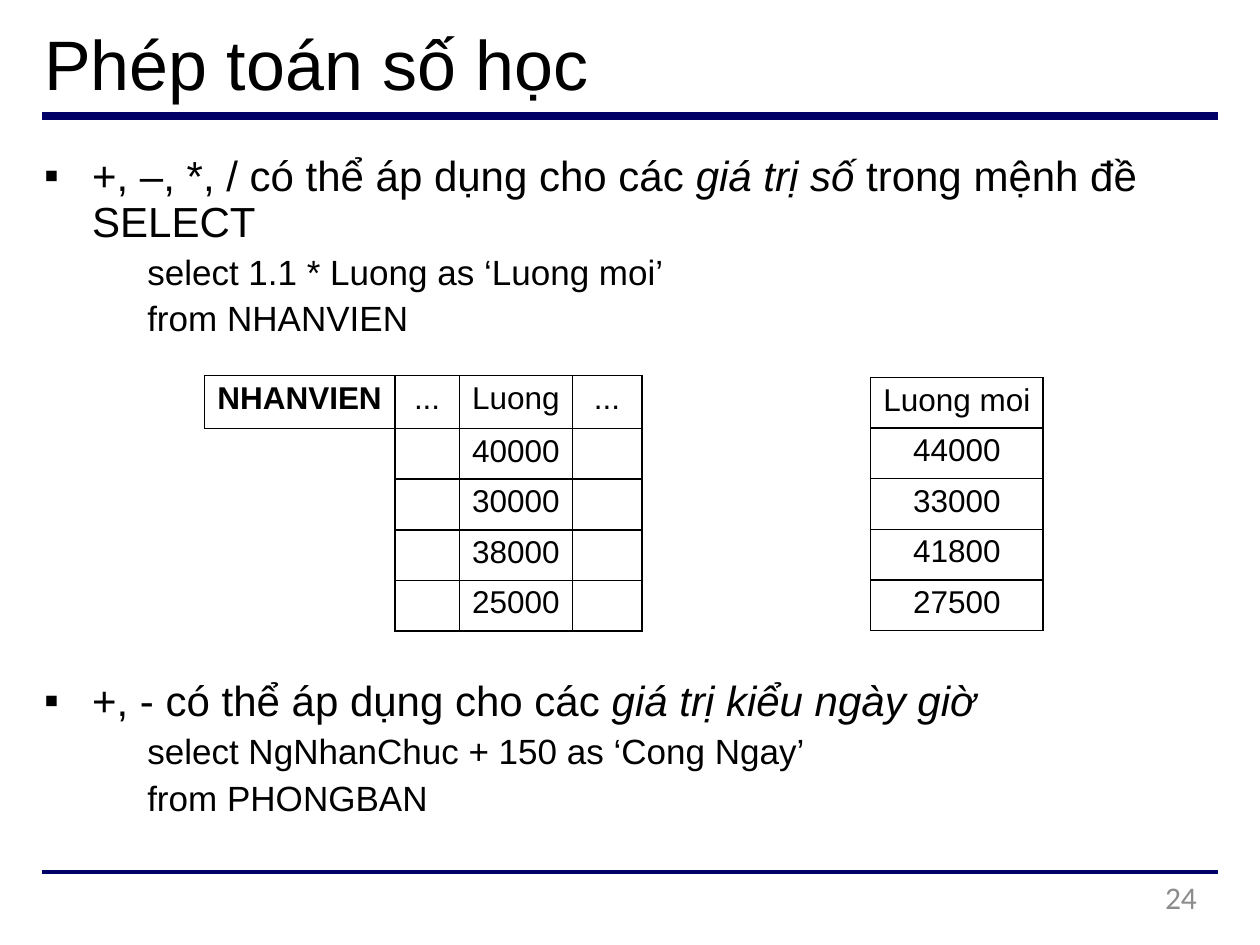
from lxml import etree
from pptx import Presentation
from pptx.dml.color import RGBColor
from pptx.enum.shapes import MSO_CONNECTOR
from pptx.enum.text import PP_ALIGN
from pptx.oxml.ns import qn
from pptx.util import Cm, Pt

STRAIGHT = MSO_CONNECTOR.STRAIGHT
LEFT, CENTER, RIGHT = PP_ALIGN.LEFT, PP_ALIGN.CENTER, PP_ALIGN.RIGHT
NAVY, BLACK, GRAY = "000066", "000000", "8C8C8C"
RULE_LEFT, RULE_WIDTH = 0.85, 23.7
ROW_HEIGHT = 1.02


def color(value):
    """Turn a hex string into a colour."""
    return RGBColor.from_string(value)


def write(paragraph, text, size=18, font="Arial", ink=BLACK, bold=False,
          italic=False, align=LEFT):
    """Append one formatted run to a paragraph."""
    paragraph.alignment = align
    run = paragraph.add_run()
    run.text = text
    run.font.size, run.font.name = Pt(size), font
    run.font.bold, run.font.italic = bold, italic
    run.font.color.rgb = color(ink)


def add_frame(slide, left, top, width, height):
    """Add a wrapping text box without margins and return its frame."""
    frame = slide.shapes.add_textbox(
        Cm(left), Cm(top), Cm(width), Cm(height)).text_frame
    frame.word_wrap = True
    frame.margin_left = frame.margin_right = 0
    frame.margin_top = frame.margin_bottom = 0
    return frame


def indent(paragraph, margin, hanging=0):
    """Set the left margin and hanging indent of a paragraph."""
    properties = paragraph._p.get_or_add_pPr()
    properties.set("marL", str(Cm(margin)))
    properties.set("indent", str(-Cm(hanging)))
    return properties


def add_rule(slide, top, weight):
    """Draw a full-width navy rule."""
    rule = slide.shapes.add_connector(
        STRAIGHT, Cm(RULE_LEFT), Cm(top), Cm(RULE_LEFT + RULE_WIDTH), Cm(top))
    rule.line.color.rgb = color(NAVY)
    rule.line.width = Pt(weight)
    etree.SubElement(rule._element.spPr, qn("a:effectLst"))


def add_title(slide, left, top, width, height, title):
    """Place the slide title."""
    frame = add_frame(slide, left, top, width, height)
    write(frame.paragraphs[0], title, size=40)


def add_topic(slide, left, top, width, height, statement, query):
    """Place a bulleted statement with the lines of its query below."""
    frame = add_frame(slide, left, top, width, height)
    bullet = frame.paragraphs[0]
    bullet.line_spacing = Pt(25.9)
    properties = indent(bullet, 1, 0.97)
    etree.SubElement(properties, qn("a:buFont"), typeface="Arial")
    etree.SubElement(properties, qn("a:buChar"), char="▪")
    for text, italic in statement:
        write(bullet, text, size=24, italic=italic)
    for number, code in enumerate(query):
        line = frame.add_paragraph()
        line.line_spacing = Pt(26.4)
        line.space_before = Pt(0 if number else 0.5)
        indent(line, 2.11)
        write(line, code, size=20)


def set_borders(cell, sides="LRTB"):
    """Draw the given sides of a cell and clear the others."""
    properties = cell._tc.get_or_add_tcPr()
    for side in "LRTB":
        border = etree.SubElement(properties, qn("a:ln" + side), w=str(Pt(1)))
        if side in sides:
            fill = etree.SubElement(border, qn("a:solidFill"))
            etree.SubElement(fill, qn("a:srgbClr"), val=BLACK)
        else:
            etree.SubElement(border, qn("a:noFill"))


def add_grid(slide, left, top, widths, header_height, rows):
    """Place a bordered table; None marks a cell of the open corner."""
    heights = [header_height] + [ROW_HEIGHT] * (len(rows) - 1)
    table = slide.shapes.add_table(
        len(rows), len(widths), Cm(left), Cm(top),
        Cm(sum(widths)), Cm(sum(heights))).table
    table.first_row = table.horz_banding = False
    for column, width in zip(table.columns, widths):
        column.width = Cm(width)
    for row, height in zip(table.rows, heights):
        row.height = Cm(height)
    for r, values in enumerate(rows):
        for c, value in enumerate(values):
            cell = table.cell(r, c)
            cell.margin_left = cell.margin_right = cell.margin_bottom = 0
            cell.margin_top = Cm(0.1)
            set_borders(cell, "TR" if value is None else "LRTB")
            cell.fill.background()
            if value:
                write(cell.text_frame.paragraphs[0], value,
                      bold=value == "NHANVIEN", align=CENTER)
    return table


def add_salary_tables(slide, left, top):
    """Place the source table and the table of raised salaries."""
    salaries = ["40000", "30000", "38000", "25000"]
    raised = ["44000", "33000", "41800", "27500"]
    source = [["NHANVIEN", "...", "Luong", "..."]]
    source += [[None, "", salary, ""] for salary in salaries]
    staff = add_grid(slide, left, top, [3.84, 1.3, 2.28, 1.4], 1.07, source)
    staff.cell(1, 0).merge(staff.cell(len(salaries), 0))
    add_grid(slide, left + 13.43, top + 0.04, [3.48], ROW_HEIGHT,
             [[value] for value in ["Luong moi"] + raised])


def add_page_number(slide, left, top, width, height, number):
    """Place the right-aligned page number."""
    frame = add_frame(slide, left, top, width, height)
    write(frame.paragraphs[0], number, font="Calibri", ink=GRAY, align=RIGHT)


def main():
    """Build and save the slide."""
    deck = Presentation()
    deck.slide_width, deck.slide_height = Cm(25.4), Cm(19.05)
    slide = deck.slides.add_slide(deck.slide_layouts[6])
    add_rule(slide, 2.34, 4.5)
    add_rule(slide, 17.58, 2.25)
    add_title(slide, 0.89, 0.41, 18.5, 1.75, "Phép toán số học")
    add_topic(slide, 0.86, 3.12, 22.4, 3.7,
              [("+, –, *, / có thể áp dụng cho các ", False),
               ("giá trị số ", True), ("trong mệnh đề SELECT", False)],
              ["select 1.1 * Luong as ‘Luong moi’", "from NHANVIEN"])
    add_topic(slide, 0.86, 13.7, 18.82, 2.9,
              [("+, - có thể áp dụng cho các ", False),
               ("giá trị kiểu ngày giờ", True)],
              ["select NgNhanChuc + 150 as ‘Cong Ngay’", "from PHONGBAN"])
    add_salary_tables(slide, 4.12, 7.57)
    add_page_number(slide, 18.29, 17.7, 5.84, 0.97, "24")
    deck.save("out.pptx")


if __name__ == "__main__":
    main()
